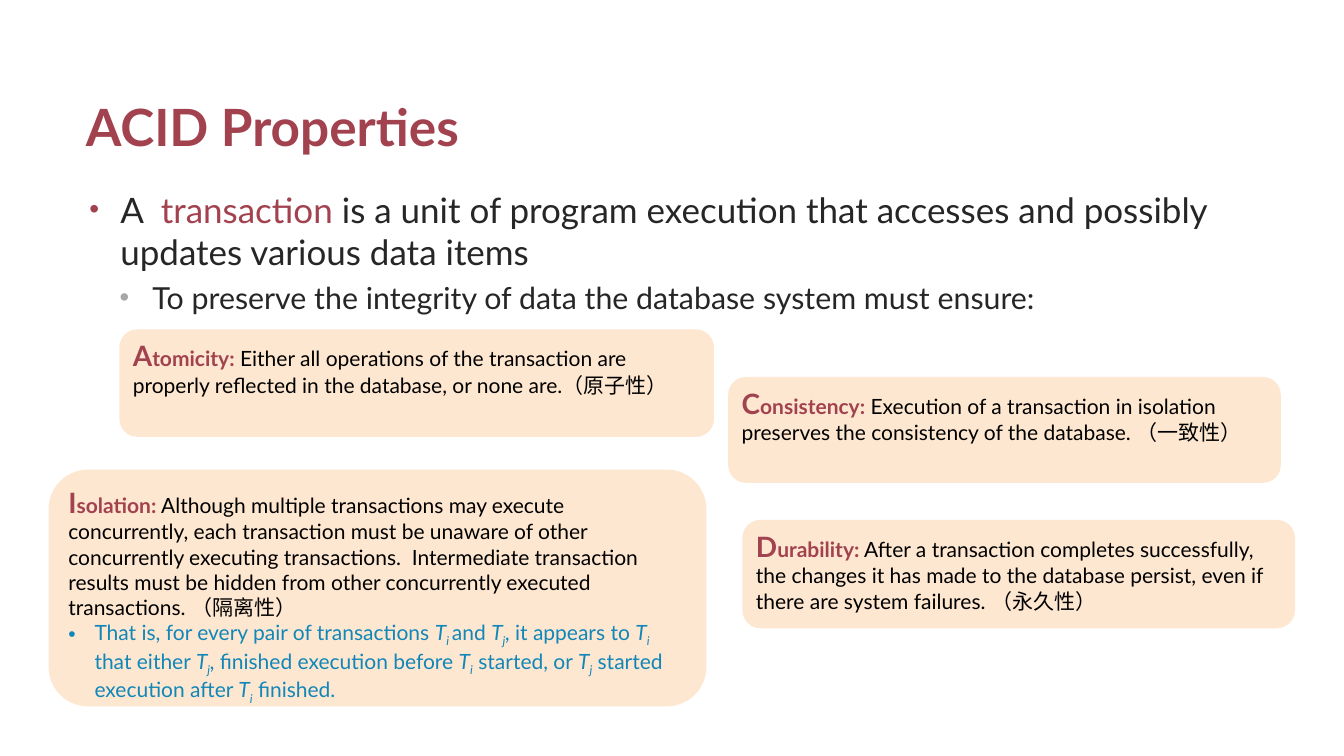
"""Build the ACID Properties slide."""
from lxml import etree
from pptx import Presentation
from pptx import util as u
from pptx.dml.color import RGBColor
from pptx.enum import shapes, text
from pptx.oxml.ns import qn

FONT = "Lato"
COLORS = {"red": "A2424F", "dark": "262626", "gray": "A6A6A6",
          "black": "000000", "blue": "1086B9", "peach": "FEE7D0"}

TITLE = "ACID Properties"
TITLE_AREA = (2.34, 0.91, 35.99, 3.96)
BODY_AREA = (2.34, 5.51, 35.99, 14.81)

STYLES = {
    "title": dict(size=44, color="red", bold=True),
    "lead": dict(size=30, color="dark"),
    "term": dict(size=30, color="red"),
    "detail": dict(size=26, color="dark"),
    "initial": dict(size=24, color="red", bold=True),
    "name": dict(size=18, color="red", bold=True),
    "plain": dict(size=18, color="black"),
    "note": dict(size=18, color="blue"),
    "var": dict(size=18, color="blue", italic=True),
    "sub": dict(size=18, color="blue", italic=True, baseline=-25000),
}

BODY = [
    dict(level=0, margin=0.94, hanging=0.94, color="red", percent=80, spans=[
        ("A  ", "lead"), ("transaction", "term"),
        (" is a unit of program execution that accesses and possibly "
         "updates various data items", "lead")]),
    dict(level=1, margin=1.91, hanging=0.99, color="gray", percent=90, spans=[
        ("To preserve the integrity of data the database system must ensure:",
         "detail")]),
]

PROPERTIES = [
    ("Atomicity:", " Either all operations of the transaction are properly "
     "reflected in the database, or none are.（原子性）",
     (3.61, 9.96, 17.98, 3.25)),
    ("Consistency:", " Execution of a transaction in isolation preserves the "
     "consistency of the database. （一致性）", (22.02, 11.4, 16.71, 3.2)),
    ("Durability:", " After a transaction completes successfully, the changes "
     "it has made to the database persist, even if there are system failures. "
     "（永久性）", (22.45, 15.72, 16.71, 3.28)),
    ("Isolation:", " Although multiple transactions may execute concurrently, "
     "each transaction must be unaware of other concurrently executing "
     "transactions.  Intermediate transaction results must be hidden from "
     "other concurrently executed transactions. （隔离性）",
     (1.47, 14.2, 19.89, 7.16)),
]

ISOLATION_NOTE = [
    ("That is, for every pair of transactions ", "note"),
    ("T", "var"), ("i ", "sub"), ("and ", "note"),
    ("T", "var"), ("j", "sub"), (", ", "var"), ("it appears to ", "note"),
    ("T", "var"), ("i ", "sub"), ("that either ", "note"),
    ("T", "var"), ("j", "sub"), (", ", "var"),
    ("finished execution before ", "note"),
    ("T", "var"), ("i", "sub"), (" started, or ", "note"),
    ("T", "var"), ("j", "sub"), (" started execution after ", "note"),
    ("T", "var"), ("i", "sub"), (" finished.", "note"),
]


def rgb(name):
    return RGBColor.from_string(COLORS[name])


def place(shape, area):
    shape.left, shape.top, shape.width, shape.height = map(u.Cm, area)


def write(para, spans):
    for words, style_name in spans:
        style = STYLES[style_name]
        span = para.add_run()
        span.text = words
        span.font.name = FONT
        span.font.size = u.Pt(style["size"])
        span.font.bold = style.get("bold", False)
        span.font.italic = style.get("italic", False)
        span.font.color.rgb = rgb(style["color"])
        if "baseline" in style:
            span.font._element.set("baseline", str(style["baseline"]))


def add_bullet(para, margin, hanging, color, percent=100):
    props = para._p.get_or_add_pPr()
    props.set("marL", str(u.Cm(margin)))
    props.set("indent", str(-u.Cm(hanging)))
    tint = etree.SubElement(props, qn("a:buClr"))
    etree.SubElement(tint, qn("a:srgbClr"), val=COLORS[color])
    etree.SubElement(props, qn("a:buSzPct"), val=str(percent * 1000))
    etree.SubElement(props, qn("a:buFont"), typeface="Arial")
    etree.SubElement(props, qn("a:buChar"), char="•")


def fill_title(page):
    title = page.shapes.title
    place(title, TITLE_AREA)
    frame = title.text_frame
    frame.auto_size = text.MSO_AUTO_SIZE.NONE
    frame.vertical_anchor = text.MSO_ANCHOR.BOTTOM
    para = frame.paragraphs[0]
    para.alignment = text.PP_ALIGN.LEFT
    write(para, [(TITLE, "title")])


def fill_body(page):
    body = page.placeholders[1]
    place(body, BODY_AREA)
    frame = body.text_frame
    frame.auto_size = text.MSO_AUTO_SIZE.NONE
    frame.margin_left = frame.margin_right = u.Cm(0.36)
    frame.margin_top = frame.margin_bottom = u.Cm(0.18)
    for index, item in enumerate(BODY):
        para = frame.add_paragraph() if index else frame.paragraphs[0]
        para.level = item["level"]
        para.space_before, para.space_after = u.Pt(4), u.Pt(2)
        write(para, item["spans"])
        add_bullet(para, item["margin"], item["hanging"],
                   item["color"], item["percent"])


def add_property(page, name, meaning, area):
    box = page.shapes.add_shape(shapes.MSO_SHAPE.ROUNDED_RECTANGLE,
                                *map(u.Cm, area))
    box.shadow.inherit = False
    box.fill.solid()
    box.fill.fore_color.rgb = rgb("peach")
    box.line.fill.background()
    frame = box.text_frame
    frame.word_wrap = True
    frame.vertical_anchor = text.MSO_ANCHOR.TOP
    para = frame.paragraphs[0]
    para.alignment = text.PP_ALIGN.LEFT
    write(para, [(name[0], "initial"), (name[1:], "name"), (meaning, "plain")])
    return frame


def main():
    deck = Presentation()
    deck.slide_width, deck.slide_height = u.Cm(40.64), u.Cm(22.86)
    page = deck.slides.add_slide(deck.slide_layouts[1])
    fill_title(page)
    fill_body(page)
    frames = {name: add_property(page, name, meaning, area)
              for name, meaning, area in PROPERTIES}
    note = frames["Isolation:"].add_paragraph()
    note.alignment = text.PP_ALIGN.LEFT
    write(note, ISOLATION_NOTE)
    add_bullet(note, 0.79, 0.79, "blue")
    deck.save("out.pptx")


if __name__ == "__main__":
    main()
